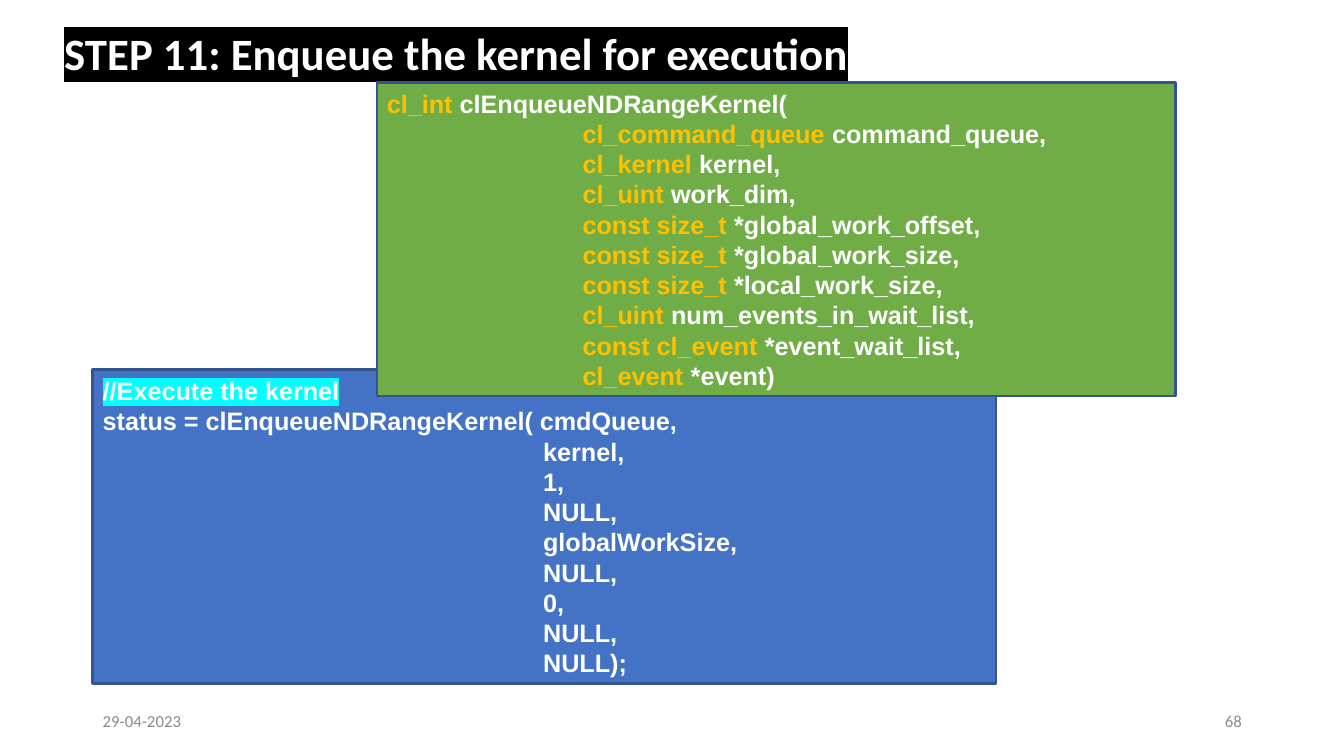
from lxml.etree import SubElement
from pptx import Presentation
from pptx.dml.color import RGBColor
from pptx.enum.shapes import MSO_SHAPE
from pptx.enum.text import MSO_ANCHOR, PP_ALIGN
from pptx.oxml.ns import qn
from pptx.util import Cm, Pt

WHITE, ORANGE, GREY = "FFFFFF", "FFC000", "8B8B8B"
CALL_INDENT = " " * 63
SIGNATURE_INDENT = " " * 28

CALL_ARGUMENTS = ["kernel,", "1,", "NULL,", "globalWorkSize,", "NULL,", "0,", "NULL,", "NULL);"]
PARAMETERS = [
    ("cl_command_queue ", "command_queue,"),
    ("cl_kernel ", "kernel,"),
    ("cl_uint ", "work_dim,"),
    ("const size_t", " *global_work_offset,"),
    ("const size_t", " *global_work_size,"),
    ("const size_t", " *local_work_size,"),
    ("cl_uint ", "num_events_in_wait_list,"),
    ("const cl_event", " *event_wait_list,"),
    ("cl_event ", "*event)"),
]


def rgb(code):
    """Turn a hex string into a colour."""
    return RGBColor.from_string(code)


def set_font(font, name, size, color=None, bold=False):
    """Set the font of a paragraph."""
    font.name, font.size, font.bold = name, Pt(size), bold
    if color:
        font.color.rgb = rgb(color)


def highlight(run, color):
    """Put a highlight colour behind a run."""
    mark = SubElement(run._r.get_or_add_rPr(), qn("a:highlight"))
    SubElement(mark, qn("a:srgbClr"), val=color)


def add_label(slide, box, text, align=PP_ALIGN.LEFT):
    """Add a text box, centred vertically, and return its paragraph."""
    frame = slide.shapes.add_textbox(*map(Cm, box)).text_frame
    frame.word_wrap = True
    frame.vertical_anchor = MSO_ANCHOR.MIDDLE
    paragraph = frame.paragraphs[0]
    paragraph.alignment = align
    paragraph.add_run().text = text
    return paragraph


def add_title(slide, box, text, band_width):
    """Add the title on a highlighted band that runs on to a tab stop."""
    title = add_label(slide, box, text + "\t")
    title.line_spacing = 0.9
    stops = SubElement(title._p.get_or_add_pPr(), qn("a:tabLst"))
    SubElement(stops, qn("a:tab"), pos=str(Cm(band_width)), algn="l")
    set_font(title.font, "Calibri", 32, WHITE, True)
    highlight(title.runs[0], "000000")


def add_footer(slide, box, date, number):
    """Add the date and the slide number at the two ends of the box."""
    left, top, width, height = box
    part = 7.62
    for offset, text, align in ((0, date, PP_ALIGN.LEFT), (width - part, number, PP_ALIGN.RIGHT)):
        label = add_label(slide, (left + offset, top, part, height), text, align)
        set_font(label.font, "Calibri", 12, GREY)


def add_code(slide, box, fill, lines):
    """Add a code panel; each line is a list of (text, colour) pairs."""
    panel = slide.shapes.add_shape(MSO_SHAPE.RECTANGLE, *map(Cm, box))
    panel.shadow.inherit = False
    panel.fill.solid()
    panel.fill.fore_color.rgb = rgb(fill)
    panel.line.color.rgb = rgb("325491")
    panel.line.width = Pt(2)
    frame = panel.text_frame
    frame.word_wrap = True
    frame.vertical_anchor = MSO_ANCHOR.MIDDLE
    for index, line in enumerate(lines):
        paragraph = frame.add_paragraph() if index else frame.paragraphs[0]
        paragraph.alignment = PP_ALIGN.LEFT
        colors = {color for _, color in line}
        shared = colors.pop() if len(colors) == 1 else None
        set_font(paragraph.font, "Arial", 18, shared, True)
        for text, color in line:
            run = paragraph.add_run()
            run.text = text
            run.font.color.rgb = rgb(color)
    return frame


def add_call(slide, box):
    """Add the panel with the call of the function."""
    lines = ["//Execute the kernel", "status = clEnqueueNDRangeKernel( cmdQueue,"]
    lines += [CALL_INDENT + argument for argument in CALL_ARGUMENTS]
    call = add_code(slide, box, "4472C4", [[(line, WHITE)] for line in lines])
    highlight(call.paragraphs[0].runs[0], "00FFFF")


def add_signature(slide, box):
    """Add the panel with the signature of the function."""
    lines = [[("cl_int ", ORANGE), ("clEnqueueNDRangeKernel(", WHITE)]]
    lines += [[(SIGNATURE_INDENT + kind, ORANGE), (name, WHITE)] for kind, name in PARAMETERS]
    add_code(slide, box, "70AD47", lines)


def main():
    """Build the slide and save it."""
    deck = Presentation()
    deck.slide_width, deck.slide_height = Cm(33.87), Cm(19.05)
    slide = deck.slides.add_slide(deck.slide_layouts[6])
    add_footer(slide, (2.34, 17.65, 29.21, 1.02), "29-04-2023", "68")
    add_title(slide, (1.37, 0.36, 29.21, 2.08), "STEP 11: Enqueue the kernel for execution", 20.52)
    add_call(slide, (2.34, 9.32, 22.76, 7.9))
    add_signature(slide, (9.5, 2.08, 20.12, 7.9))
    deck.save("out.pptx")


if __name__ == "__main__":
    main()
